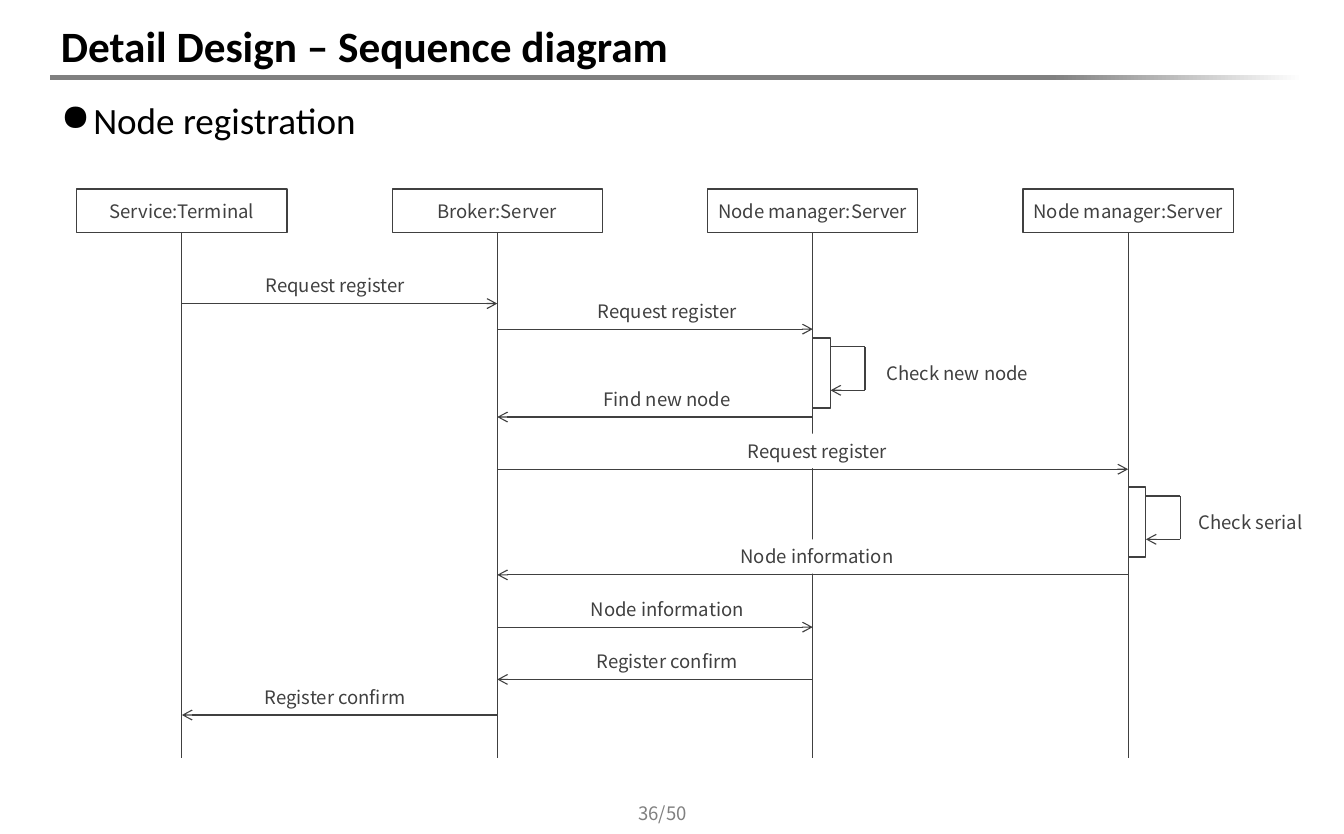
import pptx
import pptx.util
import pptx.dml.color
import pptx.enum.shapes
import pptx.enum.text
import pptx.oxml
import pptx.oxml.ns

Inches = pptx.util.Inches
Pt = pptx.util.Pt
RGBColor = pptx.dml.color.RGBColor
MSO_SHAPE = pptx.enum.shapes.MSO_SHAPE
PP_ALIGN = pptx.enum.text.PP_ALIGN
MIDDLE = pptx.enum.text.MSO_ANCHOR.MIDDLE

BLACK = RGBColor(0x00, 0x00, 0x00)
WHITE = RGBColor(0xFF, 0xFF, 0xFF)
GRAY = RGBColor(0x80, 0x80, 0x80)
INK = RGBColor(0x40, 0x40, 0x40)

TITLE_FONT = {"name": "Calibri", "size": Pt(28), "bold": True}
BODY_FONT = {"name": "Calibri", "size": Pt(24)}
SMALL_FONT = {"name": "Noto Sans CJK KR", "size": Pt(12)}
CENTERED = {"vertical_anchor": MIDDLE, "word_wrap": True}
TIGHT = {**CENTERED, **{f"margin_{side}": Inches(0.04)
                        for side in ("left", "top", "right", "bottom")}}

PARTICIPANTS = ["Service:Terminal", "Broker:Server",
                "Node manager:Server", "Node manager:Server"]
HEAD_W, HEAD_H, PITCH = 1.89, 0.39, 2.835
LABEL_W, LABEL_H = 1.5, 0.31
LABEL_SHIFT = {(0, 1): -0.04, (1, 2): 0.11, (1, 3): 0.04}
MESSAGES = [
    (0, 1, 1.03, "Request register"),
    (1, 2, 1.26, "Request register"),
    (2, 1, 2.05, "Find new node"),
    (1, 3, 2.52, "Request register"),
    (3, 1, 3.47, "Node information"),
    (1, 2, 3.94, "Node information"),
    (2, 1, 4.41, "Register confirm"),
    (1, 0, 4.73, "Register confirm"),
]
SELF_CALLS = [(2, 1.34, "Check new node", LABEL_W),
              (3, 2.68, "Check serial", 1.1)]


def set_all(obj, values):
    for name, value in values.items():
        setattr(obj, name, value)


def write(sp, text, font, color, frame=TIGHT, align=PP_ALIGN.CENTER):
    set_all(sp.text_frame, frame)
    p = sp.text_frame.paragraphs[0]
    p.alignment = align
    r = p.add_run()
    r.text = text
    set_all(r.font, font)
    r.font.color.rgb = color
    return p


def add_box(s, x, y, w, h, outlined=False):
    sp = s.shapes.add_shape(MSO_SHAPE.RECTANGLE, *map(Inches, (x, y, w, h)))
    sp.shadow.inherit = False
    sp.fill.solid()
    sp.fill.fore_color.rgb = WHITE
    if outlined:
        sp.line.color.rgb = INK
        sp.line.width = Pt(0.75)
    else:
        sp.line.fill.background()
    return sp


def add_line(s, x1, y1, x2, y2, arrow=False):
    cn = s.shapes.add_connector(pptx.enum.shapes.MSO_CONNECTOR.STRAIGHT,
                                *map(Inches, (x1, y1, x2, y2)))
    cn.line.color.rgb = INK
    cn.line.width = Pt(0.75)
    if arrow:
        ln = cn.line._get_or_add_ln()
        tail = pptx.oxml.parse_xml(
            f'<a:tailEnd {pptx.oxml.ns.nsdecls("a")} type="arrow"/>')
        ln.append(tail)
    cn._element.spPr.append(pptx.oxml.parse_xml(
        f'<a:effectLst {pptx.oxml.ns.nsdecls("a")}/>'))
    return cn


def add_title(s, x, y, w, h):
    rule = s.shapes.add_shape(MSO_SHAPE.FLOWCHART_PROCESS,
                              *map(Inches, (x, y + h - 0.01, w, 0.05)))
    rule.shadow.inherit = False
    rule.line.fill.background()
    rule.fill.gradient()
    rule.fill.gradient_angle = 0
    for stop, position, color in zip(rule.fill.gradient_stops, (0.8, 1), (GRAY, WHITE)):
        stop.position = position
        stop.color.rgb = color
    tb = s.shapes.add_textbox(*map(Inches, (x, y, w, h)))
    write(tb, "Detail Design – Sequence diagram", TITLE_FONT, BLACK,
          CENTERED, PP_ALIGN.LEFT)


def add_topic(s, x, y, w, h):
    tb = s.shapes.add_textbox(*map(Inches, (x, y, w, h)))
    p = write(tb, "Node registration", BODY_FONT, BLACK,
              {"word_wrap": True}, PP_ALIGN.LEFT)
    p.space_before = Pt(4.8)
    pPr = p._p.get_or_add_pPr()
    pPr.set("marL", str(Inches(0.29)))
    pPr.set("indent", str(-Inches(0.29)))
    pPr.append(pptx.oxml.parse_xml(
        f'<a:buChar {pptx.oxml.ns.nsdecls("a")} char="●"/>'))


def add_participant(s, x, y, h, name):
    head = add_box(s, x, y, HEAD_W, HEAD_H, outlined=True)
    write(head, name, SMALL_FONT, INK)
    mid = x + HEAD_W / 2
    lifeline = add_line(s, mid, y + HEAD_H, mid, y + h)
    lifeline.begin_connect(head, 2)


def add_label(s, x, y, w, text):
    write(add_box(s, x, y, w, LABEL_H), text, SMALL_FONT, INK)


def add_self_call(s, x, y, text, label_w):
    add_box(s, x, y, 0.16, 0.63, outlined=True)
    left, right, top, bottom = x + 0.16, x + 0.47, y + 0.08, y + 0.47
    add_line(s, left, top, right, top)
    add_line(s, right, top, right, bottom)
    add_line(s, right, bottom, left, bottom, arrow=True)
    add_label(s, right + 0.08, bottom - LABEL_H, label_w, text)


def add_message(s, x1, x2, y, text, shift):
    add_line(s, x1, y, x2, y, arrow=True)
    add_label(s, (x1 + x2 - LABEL_W) / 2 + shift, y - LABEL_H - 0.01, LABEL_W, text)


def add_sequence(s, x, y, h):
    lanes = [x + HEAD_W / 2 + i * PITCH for i in range(len(PARTICIPANTS))]
    for lane, name in zip(lanes, PARTICIPANTS):
        add_participant(s, lane - HEAD_W / 2, y, h, name)
    for lane, dy, text, label_w in SELF_CALLS:
        add_self_call(s, lanes[lane], y + dy, text, label_w)
    for source, target, dy, text in MESSAGES:
        span = min(source, target), max(source, target)
        add_message(s, lanes[source], lanes[target], y + dy, text, LABEL_SHIFT[span])


def add_page_number(s, x, y, w, h):
    tb = s.shapes.add_textbox(*map(Inches, (x, y, w, h)))
    write(tb, "36/50", SMALL_FONT, GRAY, CENTERED)


def main():
    prs = pptx.Presentation()
    prs.slide_width, prs.slide_height = Inches(12.08), Inches(7.5)
    s = prs.slides.add_slide(prs.slide_layouts[6])
    add_title(s, 0.45, 0.14, 11.26, 0.54)
    add_topic(s, 0.45, 0.83, 11.26, 0.55)
    add_sequence(s, 0.69, 1.7, 5.12)
    add_page_number(s, 5.41, 7.19, 1.09, 0.24)
    prs.save("out.pptx")


if __name__ == "__main__":
    main()
